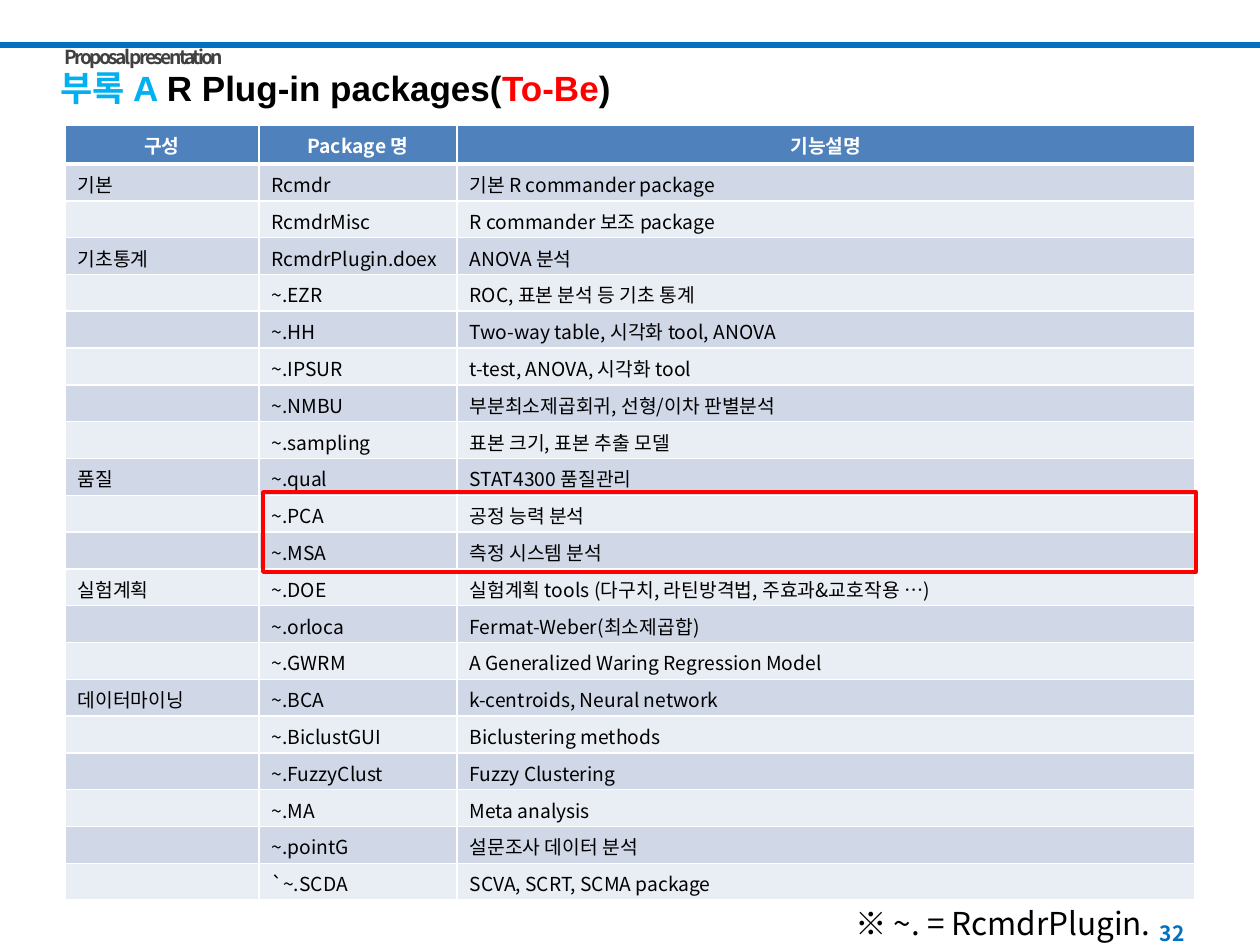
from lxml import etree
from pptx import Presentation
from pptx.dml.color import RGBColor
from pptx.enum.shapes import MSO_CONNECTOR, MSO_SHAPE
from pptx.enum.text import MSO_ANCHOR, PP_ALIGN
from pptx.oxml.ns import qn
from pptx.util import Emu, Pt

LEFT, CENTER, RIGHT, JUSTIFY = PP_ALIGN.LEFT, PP_ALIGN.CENTER, PP_ALIGN.RIGHT, PP_ALIGN.JUSTIFY
TOP, MIDDLE = MSO_ANCHOR.TOP, MSO_ANCHOR.MIDDLE
STRAIGHT, RECTANGLE = MSO_CONNECTOR.STRAIGHT, MSO_SHAPE.RECTANGLE
TITLE_ONLY = 5
BODY_FONT, TITLE_FONT = "Noto Sans CJK KR", "Arial"
COLORS = {
    "black": "000000", "white": "FFFFFF", "grey": "404040", "red": "FF0000",
    "blue": "0070C0", "sky": "00B0F0",
    "header": "4F81BD", "odd": "D0D8E8", "even": "E9EDF4",
}

HEADER = ("구성", "Package 명", "기능설명")
PACKAGES = [
    ("기본", "Rcmdr", "기본 R commander package"),
    ("", "RcmdrMisc", "R commander 보조 package"),
    ("기초통계", "RcmdrPlugin.doex", "ANOVA 분석"),
    ("", "~.EZR", "ROC, 표본 분석 등 기초 통계"),
    ("", "~.HH", "Two-way table, 시각화 tool, ANOVA"),
    ("", "~.IPSUR", "t-test, ANOVA, 시각화 tool"),
    ("", "~.NMBU", "부분최소제곱회귀, 선형/이차 판별분석"),
    ("", "~.sampling", "표본 크기, 표본 추출 모델"),
    ("품질", "~.qual", "STAT4300 품질관리"),
    ("", "~.PCA", "공정 능력 분석"),
    ("", "~.MSA", "측정 시스템 분석"),
    ("실험계획", "~.DOE", "실험계획 tools (다구치, 라틴방격법, 주효과&교호작용 …)"),
    ("", "~.orloca", "Fermat-Weber(최소제곱합)"),
    ("", "~.GWRM", "A Generalized Waring Regression Model"),
    ("데이터마이닝", "~.BCA", "k-centroids, Neural network"),
    ("", "~.BiclustGUI", "Biclustering methods"),
    ("", "~.FuzzyClust", "Fuzzy Clustering"),
    ("", "~.MA", "Meta analysis"),
    ("", "~.pointG", "설문조사 데이터 분석"),
    ("", "`~.SCDA", "SCVA, SCRT, SCMA package"),
]


def px(value):
    return Emu(round(value * 914400 / 126))


def color(name):
    return RGBColor.from_string(COLORS[name])


def add_text(paragraph, text, size=11, font=BODY_FONT, fill="black", bold=False,
             align=LEFT, spacing=None):
    """Add one formatted run; an empty text only sizes the paragraph."""
    paragraph.alignment = align
    if not text:
        paragraph._p.get_or_add_endParaRPr().set("sz", str(size * 100))
        return
    run = paragraph.add_run()
    run.text = text
    run.font.size = Pt(size)
    run.font.bold = bold
    run.font.name = font
    run.font.color.rgb = color(fill)
    properties = run._r.get_or_add_rPr()
    etree.SubElement(properties, qn("a:ea")).set("typeface", BODY_FONT)
    if spacing is not None:
        properties.set("spc", str(round(spacing * 100)))


def add_border(cell, side, width):
    line = etree.SubElement(cell._tc.get_or_add_tcPr(), qn(f"a:ln{side}"), w=str(Pt(width)))
    solid = etree.SubElement(line, qn("a:solidFill"))
    etree.SubElement(solid, qn("a:srgbClr"), val=COLORS["white"])


class SlideBuilder:
    def __init__(self, presentation):
        self.slide = presentation.slides.add_slide(presentation.slide_layouts[TITLE_ONLY])

    def title(self, box, parts):
        shape = self.slide.shapes.title
        shape.left, shape.top, shape.width, shape.height = map(px, box)
        shape.text_frame.vertical_anchor = TOP
        for text, fill in parts:
            add_text(shape.text_frame.paragraphs[0], text, size=20, font=TITLE_FONT,
                     fill=fill, bold=True)

    def text(self, box, text, anchor=TOP, **style):
        frame = self.slide.shapes.add_textbox(*map(px, box)).text_frame
        frame.word_wrap = True
        frame.vertical_anchor = anchor
        add_text(frame.paragraphs[0], text, **style)

    def line(self, start, end, fill, width):
        connector = self.slide.shapes.add_connector(STRAIGHT, *map(px, start + end))
        connector.line.color.rgb = color(fill)
        connector.line.width = Pt(width)
        etree.SubElement(connector._element.spPr, qn("a:effectLst"))

    def frame(self, box, fill, width):
        shape = self.slide.shapes.add_shape(RECTANGLE, *map(px, box))
        shape.shadow.inherit = False
        shape.fill.background()
        shape.line.color.rgb = color(fill)
        shape.line.width = Pt(width)

    def cell(self, cell, text, row):
        is_header = row == 0
        widths = {"L": 1, "R": 1, "T": 3 if row == 1 else 1, "B": 3 if is_header else 1}
        for side, width in widths.items():
            add_border(cell, side, width)
        cell.fill.solid()
        cell.fill.fore_color.rgb = color("header" if is_header else "odd" if row % 2 else "even")
        cell.margin_top, cell.margin_bottom = px(6), 0
        add_text(cell.text_frame.paragraphs[0], text, bold=is_header,
                 fill="white" if is_header else "black", align=CENTER if is_header else LEFT)

    def table(self, box, rows, column_widths, header_height):
        table = self.slide.shapes.add_table(len(rows), len(column_widths), *map(px, box)).table
        for column, width in zip(table.columns, column_widths):
            column.width = px(width)
        body_height = (box[3] - header_height) / (len(rows) - 1)
        for index, values in enumerate(rows):
            table.rows[index].height = px(body_height if index else header_height)
            for column, value in enumerate(values):
                self.cell(table.cell(index, column), value, index)


def main():
    presentation = Presentation()
    presentation.slide_width, presentation.slide_height = px(1260), px(945)
    builder = SlideBuilder(presentation)

    # Heading and page number
    builder.line((-3, 45), (1263, 45), "blue", 3)
    builder.text((903, 908, 294, 50), "32", anchor=MIDDLE, size=12, fill="blue",
                 bold=True, align=RIGHT)
    builder.title((48, 60, 741, 55), [("부록 A ", "sky"), ("R Plug-in packages(", "black"),
                                      ("To-Be", "red"), (")", "black")])
    builder.text((52, 39, 307, 37), "Proposal presentation", fill="grey", bold=True,
                 align=JUSTIFY, spacing=-1.5)

    # Footnote
    builder.text((843, 898, 324, 50), "※ ~. = RcmdrPlugin.", size=18)

    # Package table with the highlighted rows
    builder.table((65, 125, 1130, 776), [HEADER] + PACKAGES, (194, 198, 738), 39)
    builder.frame((263, 492, 933, 80), "red", 2)

    presentation.save("out.pptx")


if __name__ == "__main__":
    main()
